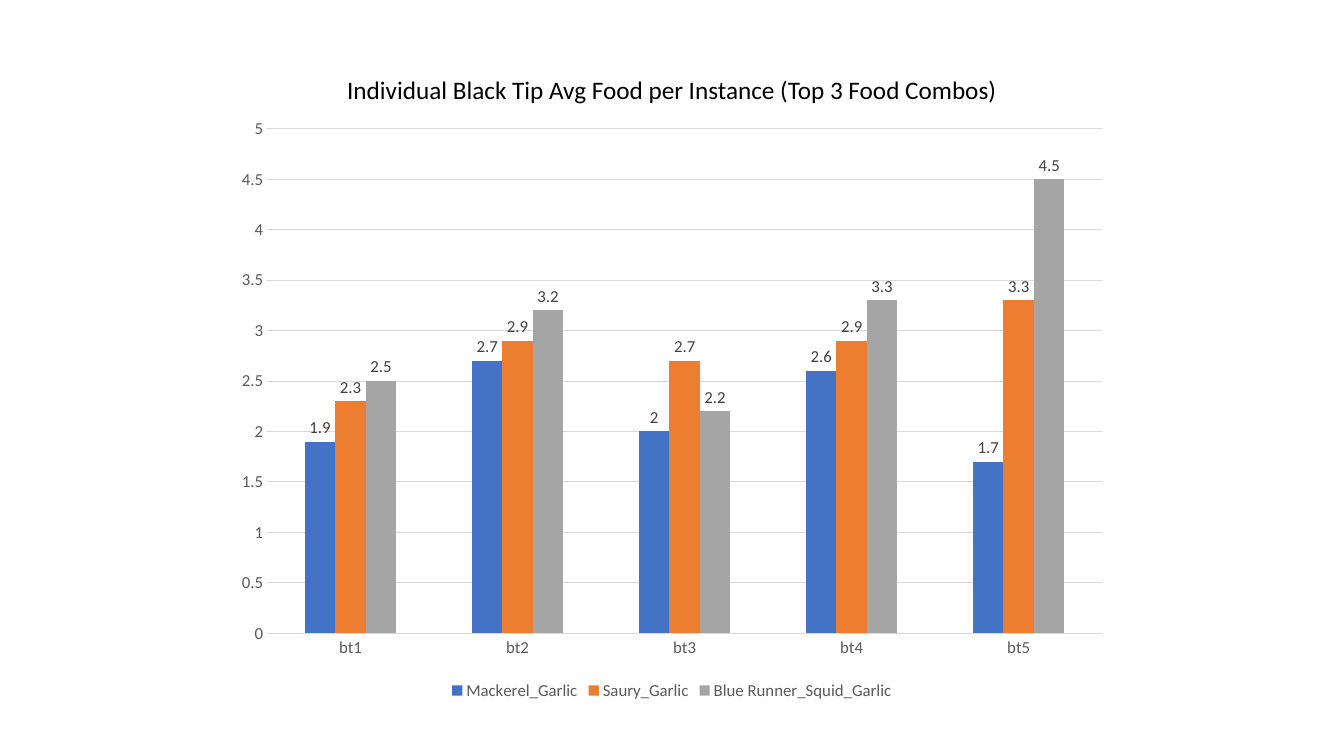
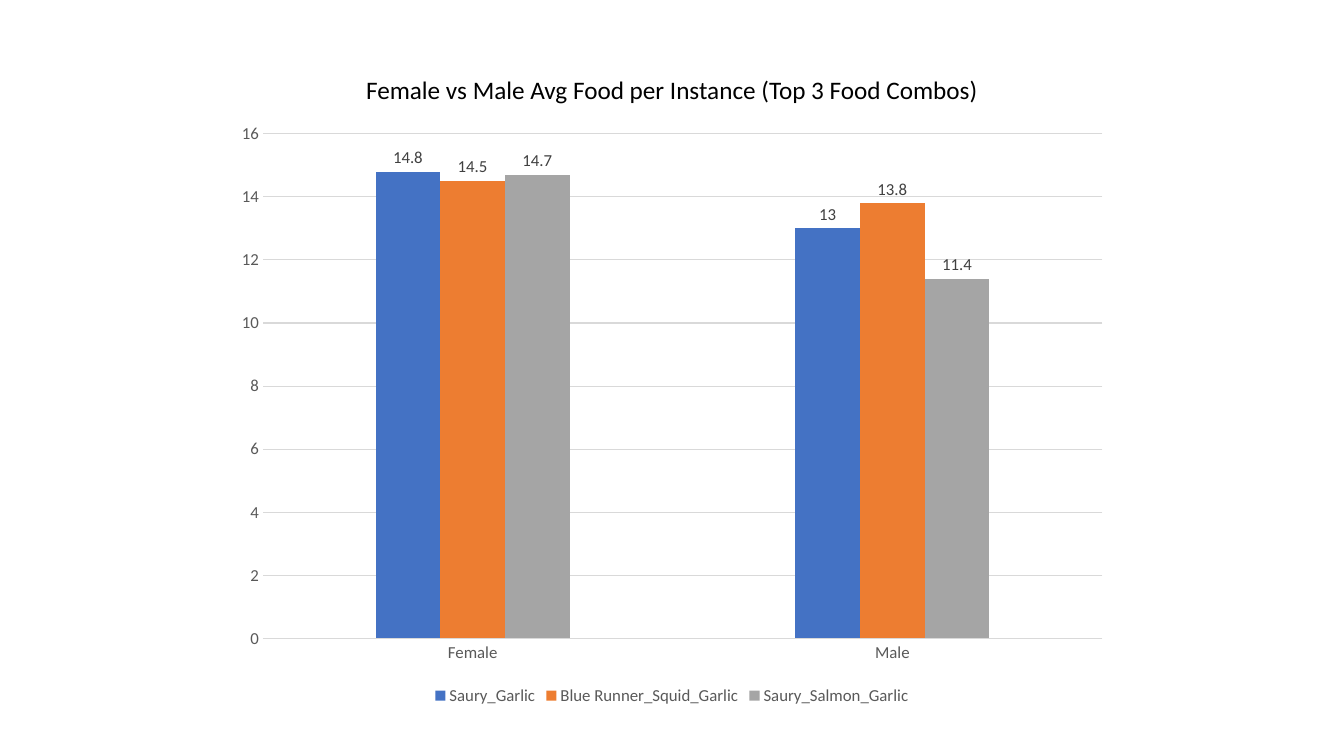
from pptx import Presentation
from pptx.chart.data import CategoryChartData
from pptx.dml.color import RGBColor
from pptx.enum.chart import XL_CHART_TYPE, XL_LABEL_POSITION, XL_LEGEND_POSITION, XL_TICK_MARK
from pptx.enum.text import MSO_AUTO_SIZE, PP_ALIGN
from pptx.util import Inches, Pt

CLUSTERED = XL_CHART_TYPE.COLUMN_CLUSTERED
OUTSIDE_END = XL_LABEL_POSITION.OUTSIDE_END
LEGEND_BOTTOM = XL_LEGEND_POSITION.BOTTOM
NO_TICK = XL_TICK_MARK.NONE
FIT_SHAPE = MSO_AUTO_SIZE.SHAPE_TO_FIT_TEXT
CENTER = PP_ALIGN.CENTER

FONT = "Calibri"
COLORS = {
    "title": "000000",
    "axis": "595959",
    "label": "404040",
    "grid": "D9D9D9",
    "first": "4472C4",
    "second": "ED7D31",
    "third": "A5A5A5",
}
SERIES_COLORS = ("first", "second", "third")

FOOD_CHARTS = [
    {
        "title": "Individual Black Tip Avg Food per Instance (Top 3 Food Combos)",
        "top": 1.06,
        "gap": 249,
        "axis": (5, 0.5),
        "groups": ["bt1", "bt2", "bt3", "bt4", "bt5"],
        "combos": {
            "Mackerel_Garlic": (1.9, 2.7, 2, 2.6, 1.7),
            "Saury_Garlic": (2.3, 2.9, 2.7, 2.9, 3.3),
            "Blue Runner_Squid_Garlic": (2.5, 3.2, 2.2, 3.3, 4.5),
        },
    },
    {
        "title": "Female vs Male Avg Food per Instance (Top 3 Food Combos)",
        "top": 1.11,
        "gap": 349,
        "axis": (16, 2),
        "groups": ["Female", "Male"],
        "combos": {
            "Saury_Garlic": (14.8, 13),
            "Blue Runner_Squid_Garlic": (14.5, 13.8),
            "Saury_Salmon_Garlic": (14.7, 11.4),
        },
    },
]


class FoodDeck:
    """Holds the shared style and the slide being built."""

    def __init__(self):
        self.deck = Presentation()
        self.deck.slide_width = Inches(13.33)
        self.deck.slide_height = Inches(7.5)
        self.slide = None

    def add_slide(self):
        self.slide = self.deck.slides.add_slide(self.deck.slide_layouts[6])

    def apply(self, target, formats):
        for name, value in formats.items():
            setattr(target, name, value)

    def style_font(self, font, size, color):
        self.apply(font, {"name": FONT, "size": Pt(size), "bold": False})
        font.color.rgb = RGBColor.from_string(COLORS[color])

    def style_line(self, line):
        line.width = Pt(0.75)
        line.color.rgb = RGBColor.from_string(COLORS["grid"])

    def add_title(self, wording):
        title = self.slide.shapes.add_textbox(
            Inches(3.18), Inches(0.69), Inches(6.97), Inches(0.4))
        self.apply(title.text_frame, {"word_wrap": True, "auto_size": FIT_SHAPE})
        heading = title.text_frame.paragraphs[0]
        heading.alignment = CENTER
        run = heading.add_run()
        run.text = wording
        self.style_font(run.font, 18, "title")

    def add_columns(self, top, gap, axis, groups, combos):
        averages = CategoryChartData()
        averages.categories = groups
        for combo, values in combos.items():
            averages.add_series(combo, values)
        chart = self.slide.shapes.add_chart(
            CLUSTERED, Inches(2.22), Inches(top), Inches(8.89), Inches(5.93),
            averages).chart
        self.apply(chart, {"has_title": False, "has_legend": True})
        self.style_font(chart.font, 10, "title")
        self.apply(chart.legend, {"position": LEGEND_BOTTOM, "include_in_layout": False})
        self.style_font(chart.legend.font, 12, "axis")
        self.style_axes(chart, axis)
        columns = chart.plots[0]
        self.apply(columns, {"gap_width": gap, "overlap": 0, "vary_by_categories": False})
        for combo, color in zip(columns.series, SERIES_COLORS):
            self.style_series(combo, color)

    def style_axes(self, chart, axis):
        for scale in (chart.category_axis, chart.value_axis):
            self.apply(scale, {"major_tick_mark": NO_TICK, "minor_tick_mark": NO_TICK})
            self.style_font(scale.tick_labels.font, 12, "axis")
        self.style_line(chart.category_axis.format.line)
        maximum, step = axis
        self.apply(chart.value_axis, {
            "minimum_scale": 0, "maximum_scale": maximum,
            "major_unit": step, "has_major_gridlines": True})
        self.style_line(chart.value_axis.major_gridlines.format.line)
        chart.value_axis.format.line.fill.background()

    def style_series(self, combo, color):
        combo.invert_if_negative = False
        combo.format.fill.solid()
        combo.format.fill.fore_color.rgb = RGBColor.from_string(COLORS[color])
        self.apply(combo.data_labels, {"show_value": True, "position": OUTSIDE_END})
        self.style_font(combo.data_labels.font, 12, "label")


def main():
    food = FoodDeck()
    for content in FOOD_CHARTS:
        food.add_slide()
        food.add_columns(content["top"], content["gap"], content["axis"],
                         content["groups"], content["combos"])
        food.add_title(content["title"])
    food.deck.save("out.pptx")


if __name__ == "__main__":
    main()
